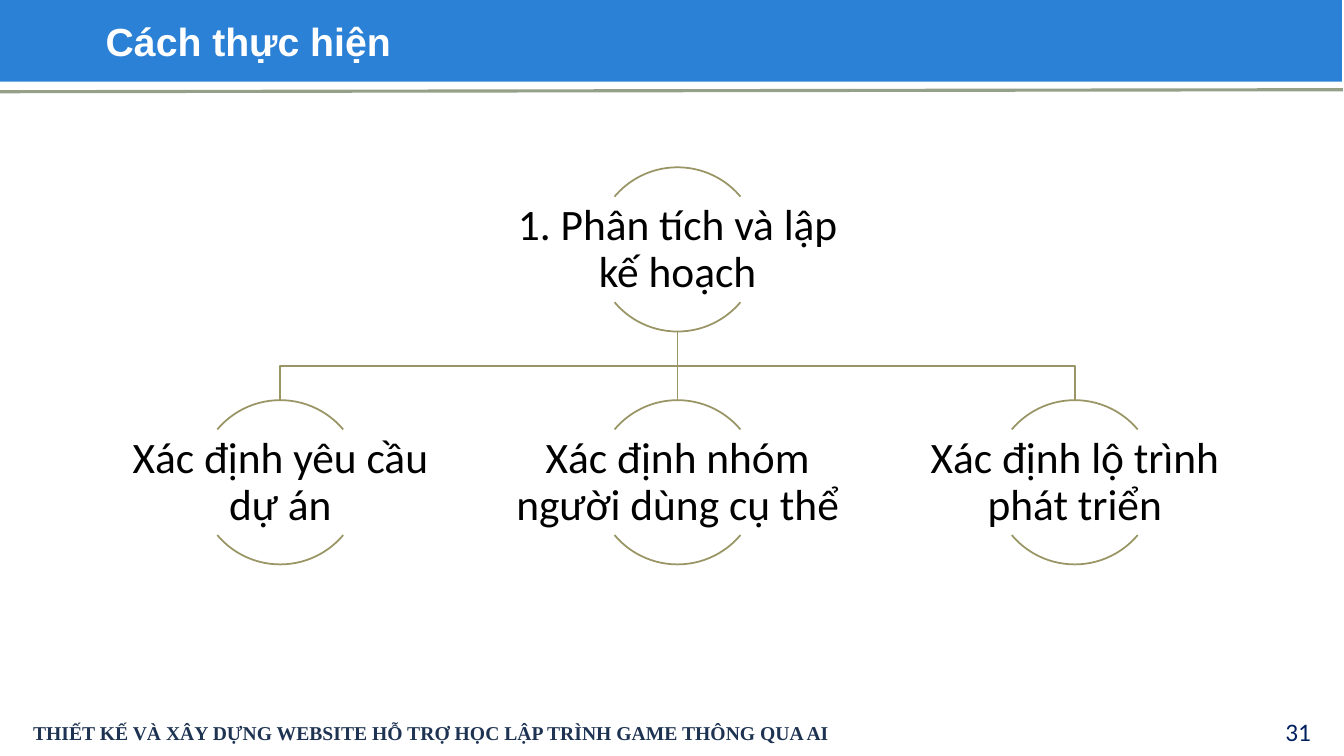
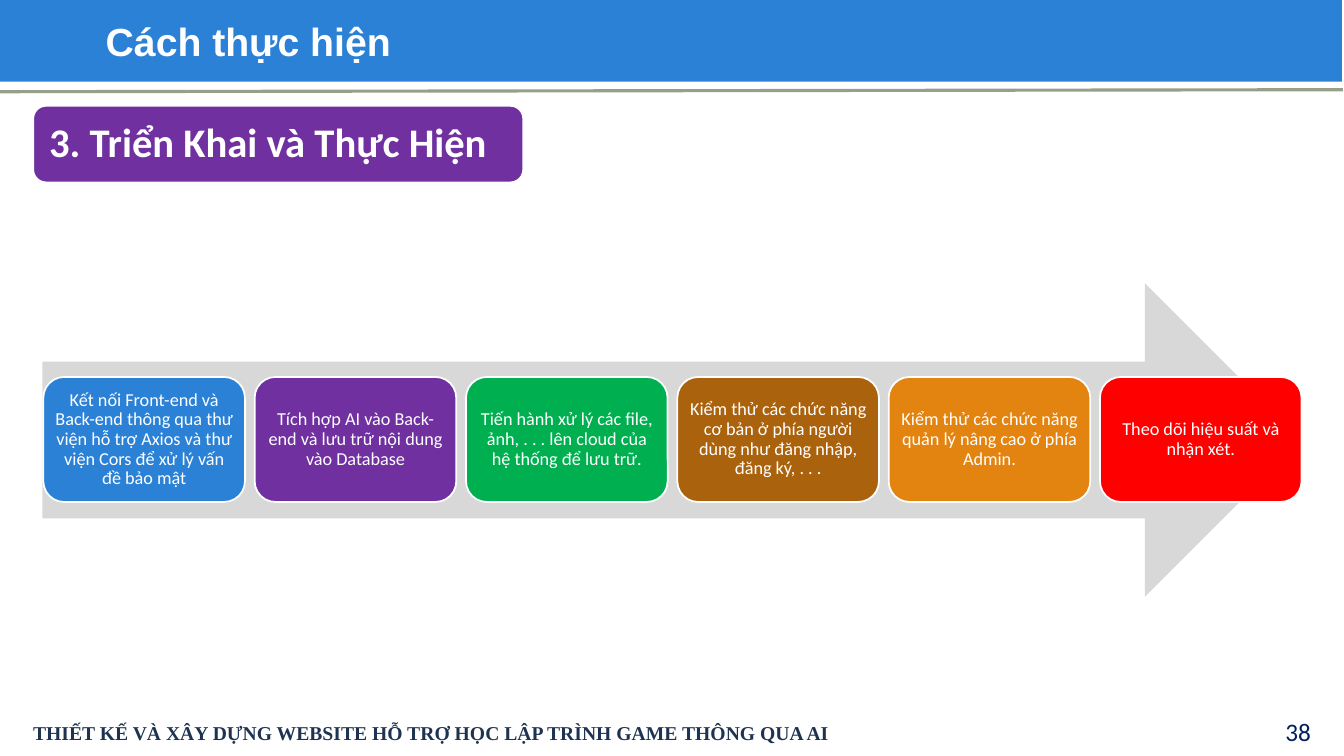
from lxml.etree import SubElement
from pptx import Presentation
from pptx.dml.color import RGBColor
from pptx.enum.shapes import MSO_CONNECTOR as CONNECTOR, MSO_SHAPE as SHAPE
from pptx.enum.text import MSO_ANCHOR as ANCHOR, PP_ALIGN as ALIGN
from pptx.oxml.ns import qn
from pptx.util import Inches, Pt

BLUE = RGBColor(0x2A, 0x81, 0xD6)
SAGE = RGBColor(0x94, 0xA0, 0x88)
OLIVE = RGBColor(0x99, 0x95, 0x65)
NAVY = RGBColor(0x00, 0x20, 0x60)
SLATE = RGBColor(0x1E, 0x33, 0x52)
PURPLE = RGBColor(0x70, 0x30, 0xA0)
GREEN = RGBColor(0x00, 0xB0, 0x50)
BROWN = RGBColor(0xAB, 0x62, 0x0D)
ORANGE = RGBColor(0xE3, 0x83, 0x10)
RED = RGBColor(0xFF, 0x00, 0x00)
GRAY = RGBColor(0xD8, 0xD8, 0xD8)
BLACK = RGBColor(0x00, 0x00, 0x00)
WHITE = RGBColor(0xFF, 0xFF, 0xFF)

TITLE = "Cách thực hiện"
FOOTER = "THIẾT KẾ VÀ XÂY DỰNG WEBSITE HỖ TRỢ HỌC LẬP TRÌNH GAME THÔNG QUA AI"


def write(shape, text, size, color, font="Calibri", bold=False, align=ALIGN.LEFT,
          anchor=ANCHOR.MIDDLE, margins=(0.1, 0.05), spacing=1.0):
    frame = shape.text_frame
    frame.word_wrap = True
    frame.vertical_anchor = anchor
    frame.margin_left = frame.margin_right = Inches(margins[0])
    frame.margin_top = frame.margin_bottom = Inches(margins[1])
    paragraph = frame.paragraphs[0]
    paragraph.text = text
    paragraph.alignment = align
    paragraph.line_spacing = spacing
    paragraph.font.name = font
    paragraph.font.size = Pt(size)
    paragraph.font.bold = bold
    paragraph.font.color.rgb = color


def add_box(slide, kind, left, top, width, height, fill=None, line=None):
    shape = slide.shapes.add_shape(kind, Inches(left), Inches(top), Inches(width), Inches(height))
    shape.shadow.inherit = False
    if fill is None:
        shape.fill.background()
    else:
        shape.fill.solid()
        shape.fill.fore_color.rgb = fill
    if line is None:
        shape.line.fill.background()
    else:
        shape.line.color.rgb = line
        shape.line.width = Pt(1.25)
    return shape


presentation = Presentation()
presentation.slide_width = Inches(13.33)
presentation.slide_height = Inches(7.5)
blank_layout = presentation.slide_layouts[6]

for number in ("31", "38"):
    slide = presentation.slides.add_slide(blank_layout)
    add_box(slide, SHAPE.RECTANGLE, -0.02, -0.01, 13.33, 0.82, BLUE)
    rule = slide.shapes.add_connector(
        CONNECTOR.STRAIGHT, Inches(0), Inches(0.91), Inches(13.32), Inches(0.89))
    rule.line.color.rgb = SAGE
    rule.line.width = Pt(2.25)
    SubElement(rule.element.spPr, qn("a:effectLst"))
    title = slide.shapes.add_textbox(Inches(0.95), Inches(0.08), Inches(12.29), Inches(0.61))
    write(title, TITLE, 28, WHITE, "Arial", True, anchor=ANCHOR.BOTTOM)
    page = slide.shapes.add_textbox(Inches(11.67), Inches(7.1), Inches(1.43), Inches(0.32))
    write(page, number, 18, NAVY, align=ALIGN.RIGHT)
    footer = slide.shapes.add_textbox(Inches(0.23), Inches(7.1), Inches(10.23), Inches(0.39))
    write(footer, FOOTER, 14, SLATE, "Times New Roman", True, anchor=ANCHOR.TOP)

plan_slide, build_slide = presentation.slides

ROOT_X, ROOT_Y, CHILD_Y = 6.72, 1.66, 3.97
COLUMN_PITCH = 3.94
DIAMETER = 1.63
trunk_y = ROOT_Y + DIAMETER
branch_y = (trunk_y + CHILD_Y) / 2

trunk = plan_slide.shapes.add_connector(
    CONNECTOR.STRAIGHT, Inches(ROOT_X), Inches(trunk_y), Inches(ROOT_X), Inches(CHILD_Y))
trunk.line.color.rgb = OLIVE
trunk.line.width = Pt(1.25)
SubElement(trunk.element.spPr, qn("a:effectLst"))

for side in (-1, 1):
    child_x = ROOT_X + side * COLUMN_PITCH
    builder = plan_slide.shapes.build_freeform(Inches(ROOT_X), Inches(trunk_y))
    corners = [(ROOT_X, branch_y), (child_x, branch_y), (child_x, CHILD_Y)]
    builder.add_line_segments([(Inches(x), Inches(y)) for x, y in corners], close=False)
    branch = builder.convert_to_shape()
    branch.shadow.inherit = False
    branch.fill.background()
    branch.line.color.rgb = OLIVE
    branch.line.width = Pt(1.25)

nodes = [
    (0, ROOT_Y, "1. Phân tích và lập kế hoạch"),
    (-1, CHILD_Y, "Xác định yêu cầu dự án"),
    (0, CHILD_Y, "Xác định nhóm người dùng cụ thể"),
    (1, CHILD_Y, "Xác định lộ trình phát triển"),
]
for column, top, text in nodes:
    center_x = ROOT_X + column * COLUMN_PITCH
    for start, end in ((132, 192), (24, 84)):
        arc = add_box(plan_slide, SHAPE.ARC, center_x - DIAMETER / 2, top,
                      DIAMETER, DIAMETER, line=OLIVE)
        arc.adjustments[0] = start
        arc.adjustments[1] = end
    label = plan_slide.shapes.add_textbox(
        Inches(center_x - 1.63), Inches(top + 0.3), Inches(3.26), Inches(1.04))
    write(label, text, 31, BLACK, align=ALIGN.CENTER, margins=(0.02, 0.02), spacing=0.9)

heading = add_box(build_slide, SHAPE.ROUNDED_RECTANGLE, 0.33, 1.05, 4.86, 0.76, PURPLE, WHITE)
write(heading, "3. Triển Khai và Thực Hiện", 29, WHITE, bold=True,
      margins=(0.12, 0.12), spacing=0.9)
add_box(build_slide, SHAPE.RIGHT_ARROW, 0.42, 2.81, 12.49, 3.11, GRAY)

steps = [
    (BLUE, "Kết nối Front-end và Back-end thông qua thư viện hỗ trợ Axios và thư viện Cors "
           "để xử lý vấn đề bảo mật"),
    (PURPLE, "Tích hợp AI vào Back-end và lưu trữ nội dung vào Database"),
    (GREEN, "Tiến hành xử lý các file, ảnh, . . . lên cloud của hệ thống để lưu trữ."),
    (BROWN, "Kiểm thử các chức năng cơ bản ở phía người dùng như đăng nhập, đăng ký, . . ."),
    (ORANGE, "Kiểm thử các chức năng quản lý nâng cao ở phía Admin."),
    (RED, "Theo dõi hiệu suất và nhận xét."),
]
FIRST_LEFT, LAST_LEFT = 0.43, 10.91
step_pitch = (LAST_LEFT - FIRST_LEFT) / (len(steps) - 1)
for index, (color, text) in enumerate(steps):
    step = add_box(build_slide, SHAPE.ROUNDED_RECTANGLE,
                   FIRST_LEFT + index * step_pitch, 3.74, 2, 1.24, color, WHITE)
    write(step, text, 13, WHITE, align=ALIGN.CENTER, margins=(0.05, 0.05), spacing=0.9)

presentation.save("out.pptx")
